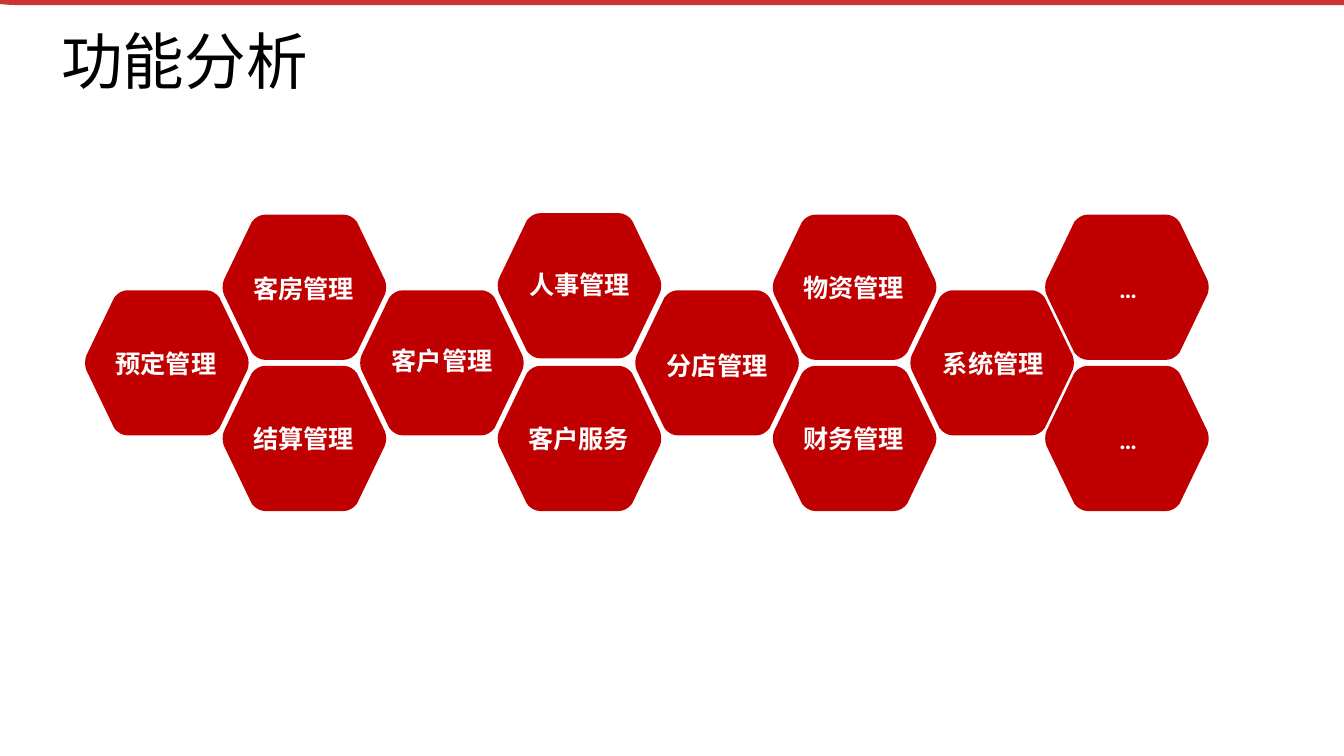
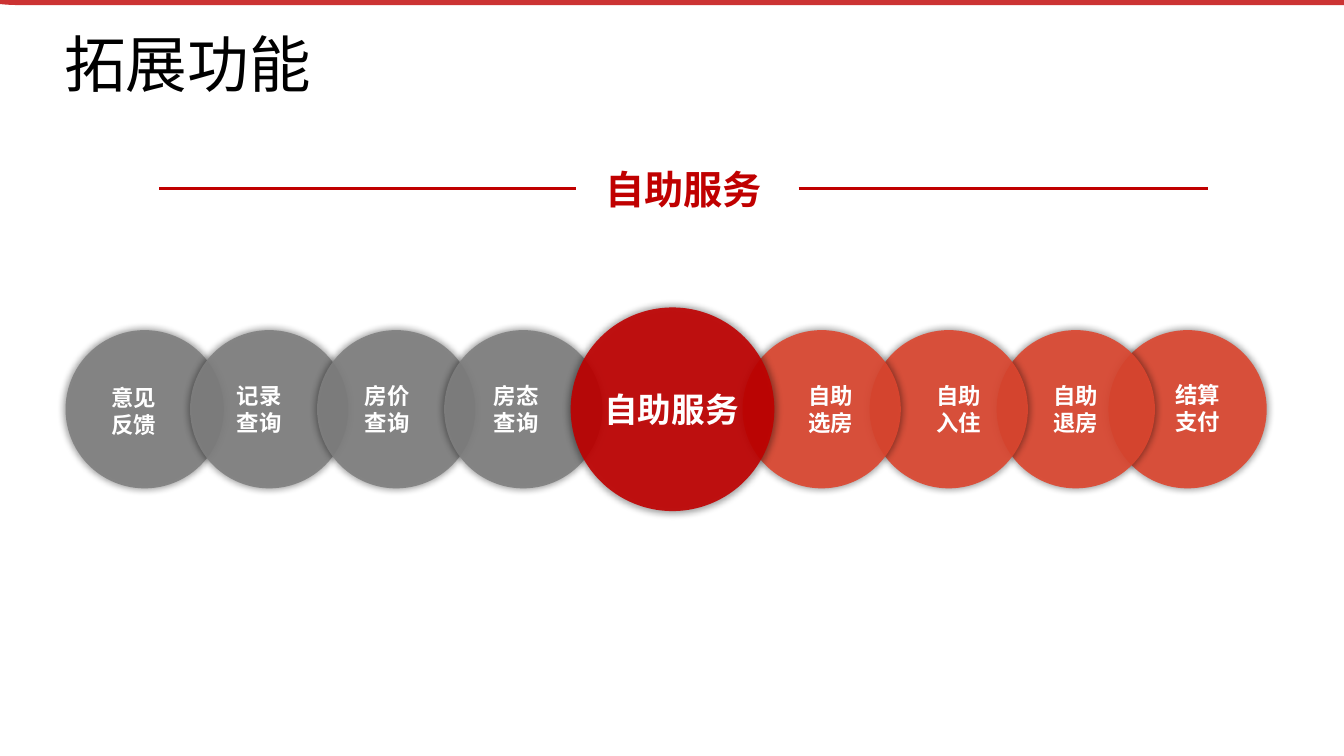
from dataclasses import dataclass

from lxml.etree import SubElement
from pptx import Presentation
from pptx.dml.color import RGBColor
from pptx.enum.lang import MSO_LANGUAGE_ID
from pptx.enum.shapes import MSO_CONNECTOR, MSO_SHAPE
from pptx.enum.text import MSO_ANCHOR, PP_ALIGN
from pptx.oxml.ns import qn
from pptx.util import Inches, Pt


@dataclass(frozen=True)
class Theme:
    """Slide size, colours, fonts and type sizes."""
    width: float = 13.33
    height: float = 7.5
    red: str = "C00000"
    coral: str = "DD462F"
    grey: str = "808080"
    white: str = "FFFFFF"
    black: str = "000000"
    font: str = "Calibri"
    heading_font: str = "Arial"
    title: int = 44
    heading: int = 28
    hub: int = 24
    cell: int = 18
    label: int = 16


@dataclass(frozen=True)
class Box:
    """A rectangle in inches."""
    x: float
    y: float
    w: float
    h: float

    @property
    def emu(self):
        """Return the four lengths for python-pptx."""
        return [Inches(v) for v in (self.x, self.y, self.w, self.h)]

    def inner(self, w, h, dx=0.0, dy=0.0):
        """Return a box around the centre, moved by an offset."""
        return Box(self.x + (self.w - w) / 2 + dx,
                   self.y + (self.h - h) / 2 + dy, w, h)


T = Theme()

MODULES = [
    (0, 1, -0.01, 0.01, "预定管理"), (1, 0, -0.01, 0.01, "客房管理"),
    (1, 2, -0.01, 0, "结算管理"), (2, 1, 0, -0.02, "客户管理"),
    (3, -0.02, 0, -0.01, "人事管理"), (3, 2, -0.01, 0, "客户服务"),
    (4, 1, 0, 0.03, "分店管理"), (5, 0, -0.01, 0, "物资管理"),
    (5, 2, -0.01, 0, "财务管理"), (6, 1, 0.01, 0.01, "系统管理"),
    (6.98, 0, 0.01, 0.01, "…"), (6.98, 2, 0.01, 0.01, "…"),
]
QUERIES = [
    (2.98, -0.11, 0.02, "意见\n反馈"), (2, -0.1, 0, "记录\n查询"),
    (1, -0.09, 0, "房价\n查询"), (0, -0.07, 0, "房态\n查询"),
]
SERVICES = [
    (2.88, 0.1, -0.01, "结算\n支付"), (2, 0, 0, "自助\n退房"),
    (1, 0.1, 0, "自助\n入住"), (0, 0.09, 0, "自助\n选房"),
]


def put_text(shape, text, size, color=T.white, font=T.font, bold=True,
             align=PP_ALIGN.CENTER, inset=0.0, spacing=None, wrap=False):
    """Write the lines of text into a shape."""
    tf = shape.text_frame
    frame = {"word_wrap": wrap, "vertical_anchor": MSO_ANCHOR.MIDDLE,
             "margin_left": Inches(inset), "margin_right": Inches(inset),
             "margin_top": 0, "margin_bottom": 0}
    for name, value in frame.items():
        setattr(tf, name, value)
    style = {"size": Pt(size), "bold": bold, "name": font,
             "language_id": MSO_LANGUAGE_ID.SIMPLIFIED_CHINESE}
    for i, line in enumerate(text.split("\n")):
        p = tf.paragraphs[0] if i == 0 else tf.add_paragraph()
        p.alignment = align
        p.line_spacing = spacing
        r = p.add_run()
        r.text = line
        for name, value in style.items():
            setattr(r.font, name, value)
        r.font.color.rgb = RGBColor.from_string(color)


def add_label(s, box, text, size, **style):
    """Add a text box."""
    put_text(s.shapes.add_textbox(*box.emu), text, size, **style)


def paint(shape, color, alpha=100):
    """Give a shape a flat fill without line or shadow."""
    shape.shadow.inherit = False
    shape.line.fill.background()
    shape.fill.solid()
    shape.fill.fore_color.rgb = RGBColor.from_string(color)
    if alpha < 100:
        clr = shape.fill._xPr.find(qn("a:solidFill"))[0]
        SubElement(clr, qn("a:alpha"), val=str(alpha * 1000))


def add_glow(shape):
    """Add a soft shadow around a shape."""
    effects = shape._element.spPr.find(qn("a:effectLst"))
    shadow = SubElement(effects, qn("a:outerShdw"), blurRad=str(Pt(5)),
                        sx="102000", sy="102000", algn="ctr", rotWithShape="0")
    clr = SubElement(shadow, qn("a:srgbClr"), val=T.black)
    SubElement(clr, qn("a:alpha"), val="40000")


def add_outline(s, points, curves, color, alpha=100):
    """Add a closed outline, with a cubic curve from each listed point."""
    pts = [(Inches(x), Inches(y)) for x, y in points]
    fb = s.shapes.build_freeform(*pts[0], scale=1.0)
    fb.add_line_segments(pts[1:], close=True)
    shape = fb.convert_to_shape()
    lines = list(shape._element.iter(qn("a:lnTo")))
    for i in curves:
        first, *rest = lines[i:i + 3]
        outline = first.getparent()
        curve = SubElement(outline, qn("a:cubicBezTo"))
        outline.replace(first, curve)
        curve.append(first[0])
        for line in rest:
            curve.append(line[0])
            outline.remove(line)
    paint(shape, color, alpha)


def add_hexagon(s, box):
    """Add a hexagon with rounded corners."""
    left = [(0.01, 0.55), (0, 0.52), (0, 0.48), (0.01, 0.45)]
    corner = [(0.18, 0.05), (0.2, 0.02), (0.23, 0), (0.26, 0)]
    right, other = ([(1 - x, y) for x, y in reversed(part)]
                    for part in (left, corner))
    top = corner + other
    ring = left + top + right + [(x, 1 - y) for x, y in reversed(top)]
    points = [(box.x + x * box.w, box.y + y * box.h) for x, y in ring]
    add_outline(s, points, range(0, 24, 4), T.red)


def add_honeycomb(s, box):
    """Lay the modules out as a honeycomb."""
    w, h = 1.63, 1.44
    dx, dy = (box.w - w) / 7, (box.h - h) / 2
    for col, row, shift, drop, text in MODULES:
        cell = Box(box.x + col * dx, box.y + row * dy, w, h)
        add_hexagon(s, cell)
        label = s.shapes.add_shape(MSO_SHAPE.RECTANGLE,
                                   *cell.inner(1.22, 0.4, shift, drop).emu)
        paint(label, T.red)
        put_text(label, text, T.cell)


def add_circle(s, box, color):
    """Add a translucent circle with a soft shadow."""
    shape = s.shapes.add_shape(MSO_SHAPE.OVAL, *box.emu)
    paint(shape, color, 90)
    add_glow(shape)


def add_chain(s, box):
    """Lay overlapping circles out on both sides of a hub."""
    d, step, reach = 1.57, 1.26, 1.48
    sides = [(-1, T.grey, QUERIES), (1, T.coral, SERVICES)]
    labels = []
    for side, color, items in sides:
        for slot, dx, dy, text in items:
            circle = box.inner(d, d, side * (reach + slot * step))
            add_circle(s, circle, color)
            labels.append((circle.inner(0.65, 0.64, dx, dy), text))
    add_circle(s, box.inner(box.h, box.h), T.red)
    add_label(s, box.inner(1.56, 0.5, -0.01), "自助服务", T.hub)
    for label, text in labels:
        add_label(s, label, text, T.label)


def add_ruled_heading(s, box, text):
    """Add a heading with a line on each side."""
    y = box.y + box.h / 2
    right = box.x + box.w
    for x1, x2 in ((box.x, box.x + 4.13), (right - 4.06, right)):
        c = s.shapes.add_connector(MSO_CONNECTOR.STRAIGHT, *(
            Inches(v) for v in (x1, y, x2, y)))
        c.line.width = Pt(2.25)
        c.line.color.rgb = RGBColor.from_string(T.red)
        SubElement(c._element.spPr, qn("a:effectLst"))
    add_label(s, box.inner(3, box.h), text, T.heading, color=T.red,
              font=T.heading_font)


def new_slide(prs, title, x, y):
    """Add a slide with the top band and its title."""
    s = prs.slides.add_slide(prs.slide_layouts[6])
    band = [(0, 0), (T.width, 0), (T.width, 0.05), (0.18, 0.05),
            (0.08, 0.05), (0, 0.04), (0, 0.04)]
    add_outline(s, band, [3], T.red, 80)
    add_label(s, Box(x, y, 6.53, 0.66), title, T.title, color=T.black,
              bold=False, align=PP_ALIGN.LEFT, inset=0.1, spacing=0.9, wrap=True)
    return s


def main():
    """Build and save the presentation."""
    prs = Presentation()
    prs.slide_width, prs.slide_height = Inches(T.width), Inches(T.height)
    s = new_slide(prs, "功能分析", 0.51, 0.31)
    add_honeycomb(s, Box(0.84, 2.13, 11.18, 2.94))
    s = new_slide(prs, "拓展功能", 0.54, 0.34)
    add_ruled_heading(s, Box(1.58, 1.58, 10.4, 0.58), "自助服务")
    add_chain(s, Box(0.65, 3.05, 12.04, 2.02))
    prs.save("out.pptx")


if __name__ == "__main__":
    main()
